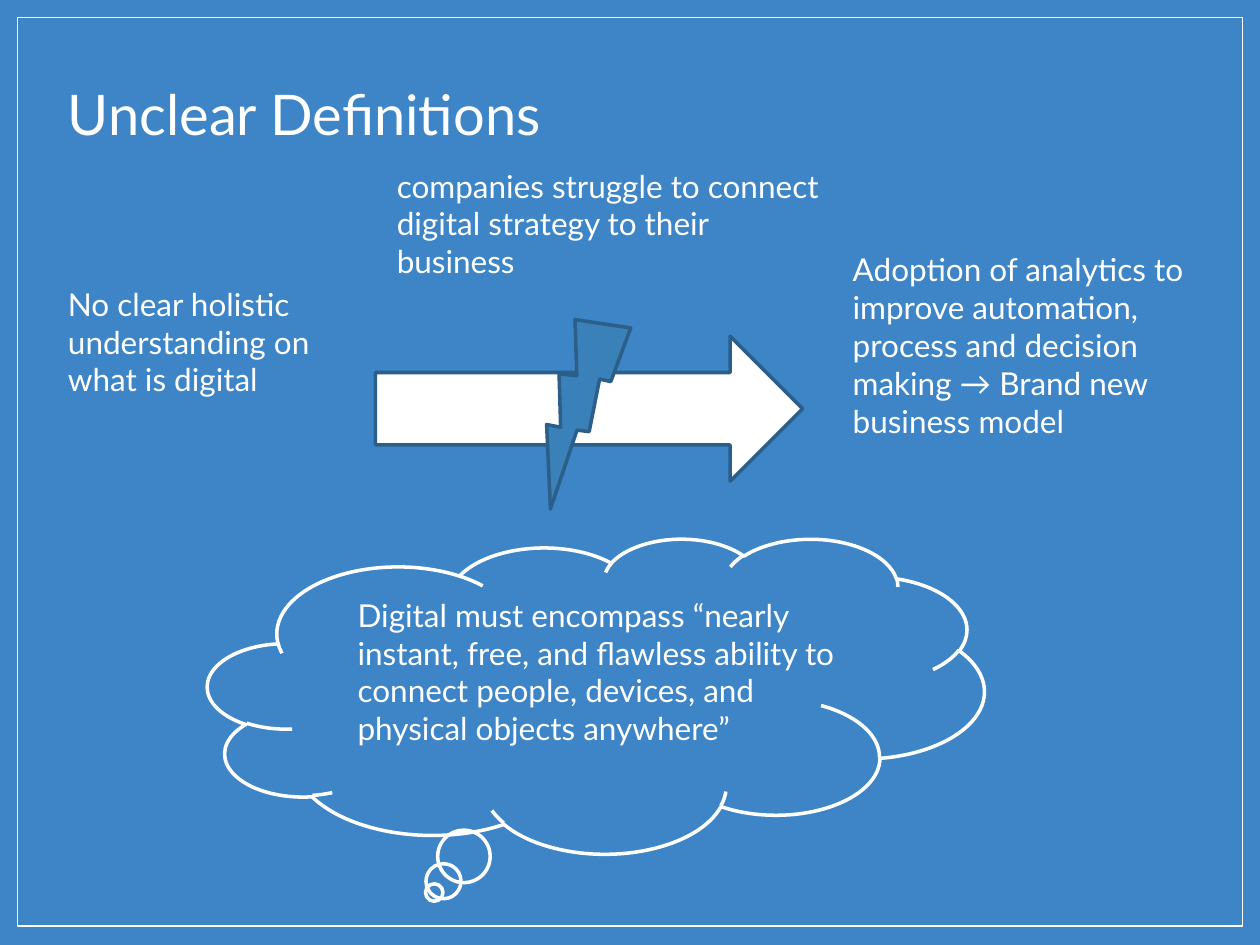
import pptx
import pptx.util
import pptx.dml.color
import pptx.enum.shapes
import pptx.enum.text
from pptx.oxml.ns import qn
from pptx.util import Cm

RGBColor = pptx.dml.color.RGBColor
Kind = pptx.enum.shapes.MSO_SHAPE
Text = pptx.enum.text

BLUE = RGBColor(0x3D, 0x85, 0xC6)
BOLT = RGBColor(0x3A, 0x81, 0xBA)
EDGE = RGBColor(0x2B, 0x5F, 0x8A)
WHITE = RGBColor(0xFF, 0xFF, 0xFF)
FONT = "Lato"


def apply(item, style):
    for name, value in style.items():
        setattr(item, name, value)


def place(item, box):
    names = ("left", "top", "width", "height")
    apply(item, dict(zip(names, map(Cm, box))))


def write(item, text, size=18, pad=0.25, gap=6, indent=0):
    """Fill a text box or placeholder with one paragraph."""
    frame = item.text_frame
    apply(frame, {
        "word_wrap": True,
        "auto_size": Text.MSO_AUTO_SIZE.NONE,
        "vertical_anchor": Text.MSO_ANCHOR.TOP,
        "margin_left": Cm(0.25), "margin_right": Cm(0.25),
        "margin_top": Cm(pad), "margin_bottom": Cm(pad),
    })
    para = frame.paragraphs[0]
    apply(para, {"alignment": Text.PP_ALIGN.LEFT,
                 "space_before": pptx.util.Pt(gap)})
    props = para._p.get_or_add_pPr()
    props.set("marL", str(Cm(indent)))
    props.set("indent", "0")
    props.append(props.makeelement(qn("a:buNone"), {}))
    run = para.add_run()
    run.text = text
    apply(run.font, {"name": FONT, "size": pptx.util.Pt(size)})
    run.font.color.rgb = WHITE


def add_note(slide, box, text, **style):
    write(slide.shapes.add_textbox(*map(Cm, box)), text, **style)


def add_form(slide, kind, box, line, width=2, fill=None, turn=0):
    form = slide.shapes.add_shape(kind, *map(Cm, box))
    form.shadow.inherit = False
    form.rotation = turn
    if fill is None:
        form.fill.background()
    else:
        form.fill.solid()
        form.fill.fore_color.rgb = fill
    form.line.color.rgb = line
    form.line.width = pptx.util.Pt(width)


def main():
    deck = pptx.Presentation()
    apply(deck, {"slide_width": Cm(25.4), "slide_height": Cm(19.05)})
    slide = deck.slides.add_slide(deck.slide_layouts[1])
    slide.background.fill.solid()
    slide.background.fill.fore_color.rgb = BLUE

    # Frame
    add_form(slide, Kind.RECTANGLE, (0.36, 0.36, 24.69, 18.31), WHITE, 0.75)

    # Title and starting point
    title, body = slide.placeholders
    place(title, (1.12, 1.35, 22.86, 1.52))
    write(title, "Unclear Definitions", size=32, gap=0)
    place(body, (1.12, 5.49, 5.72, 3.96))
    write(body, "No clear holistic understanding on what is digital")

    # Goal, with the broken arrow leading to it
    add_note(slide, (16.94, 4.8, 8.2, 3.15),
             "Adoption of analytics to improve automation, process and "
             "decision making \u2192 Brand new business model ")
    add_form(slide, Kind.RIGHT_ARROW, (7.57, 6.78, 8.61, 2.92), EDGE,
             fill=WHITE)
    add_form(slide, Kind.LIGHTNING_BOLT, (10.41, 6.25, 2.34, 3.73), EDGE,
             fill=BOLT, turn=44.8)

    # Thought cloud
    add_form(slide, Kind.CLOUD_CALLOUT, (4.19, 10.85, 15.65, 6.35), WHITE)
    add_note(slide, (6.86, 11.76, 10.9, 3.96),
             "Digital must encompass \u201cnearly instant, free, and flawless "
             "ability to connect people, devices, and physical objects "
             "anywhere\u201d", indent=0.1)

    # Struggle above the arrow
    add_note(slide, (7.75, 3.23, 9.19, 4.01),
             "companies struggle to connect digital strategy to their "
             "business", pad=0.13, gap=0)

    deck.save("out.pptx")


main()
